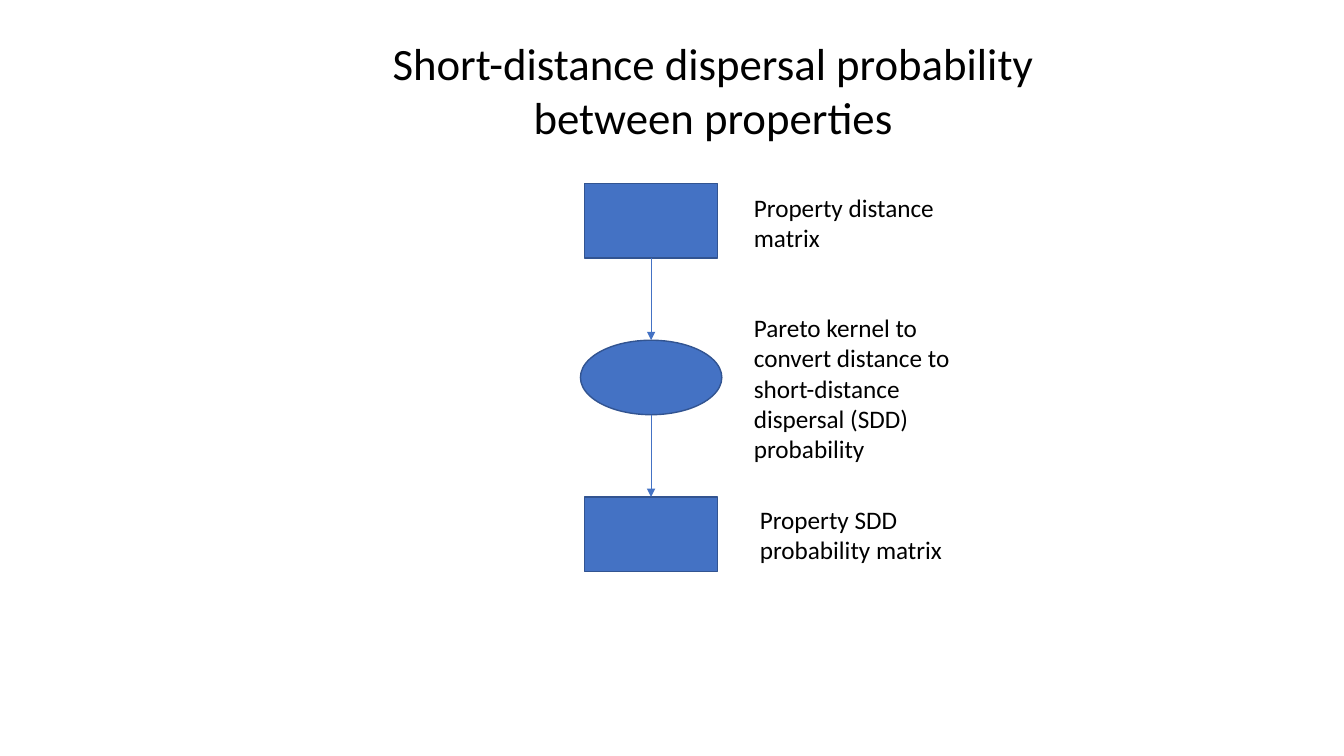
from lxml.etree import SubElement
from pptx import Presentation
from pptx.dml.color import RGBColor
from pptx.enum.shapes import MSO_CONNECTOR, MSO_SHAPE
from pptx.enum.text import PP_ALIGN
from pptx.oxml.ns import qn
from pptx.util import Pt

BLUE, OUTLINE, BLACK = "4472C4", "325491", "000000"
CENTER_X = 465.1
FIRST_TOP = 131
STEP = 112
NODE_HEIGHT = 53.2

STAGES = [
    (MSO_SHAPE.RECTANGLE, 95.2, "Property distance matrix", (531.4, 133.9, 185.8, 51.1)),
    (MSO_SHAPE.OVAL, 101,
     "Pareto kernel to convert distance to short-distance dispersal (SDD) probability",
     (531.4, 219.6, 185.8, 116.6)),
    (MSO_SHAPE.RECTANGLE, 95.2, "Property SDD probability matrix", (535.7, 356.4, 182.2, 51.1)),
]


def color(value):
    return RGBColor.from_string(value)


def apply_format(target, values):
    for name, value in values.items():
        setattr(target, name, value)


def add_text(slide, box, text, size, alignment=PP_ALIGN.LEFT):
    shape = slide.shapes.add_textbox(*map(Pt, box))
    shape.text_frame.word_wrap = True
    paragraph = shape.text_frame.paragraphs[0]
    paragraph.alignment = alignment
    run = paragraph.add_run()
    run.text = text
    apply_format(run.font, {"name": "Calibri", "size": Pt(size)})
    run.font.color.rgb = color(BLACK)


def add_node(slide, kind, width, top):
    box = (CENTER_X - width / 2, top, width, NODE_HEIGHT)
    shape = slide.shapes.add_shape(kind, *map(Pt, box))
    shape.shadow.inherit = False
    shape.fill.solid()
    shape.fill.fore_color.rgb = color(BLUE)
    shape.line.color.rgb = color(OUTLINE)
    shape.line.width = Pt(1)


def add_arrow(slide, start_y, end_y):
    points = (CENTER_X, start_y, CENTER_X, end_y)
    arrow = slide.shapes.add_connector(MSO_CONNECTOR.STRAIGHT, *map(Pt, points))
    arrow.line.color.rgb = color(BLUE)
    arrow.line.width = Pt(0.5)
    properties = arrow.element.spPr
    SubElement(properties.find(qn("a:ln")), qn("a:tailEnd"), type="triangle")
    SubElement(properties, qn("a:effectLst"))


def main():
    presentation = Presentation()
    apply_format(presentation, {"slide_width": Pt(960), "slide_height": Pt(540)})
    slide = presentation.slides.add_slide(presentation.slide_layouts[6])
    add_text(slide, (266.4, 22.3, 486, 85),
             "Short-distance dispersal probability between properties", 32, PP_ALIGN.CENTER)
    for index, (kind, width, label, label_box) in enumerate(STAGES):
        top = FIRST_TOP + index * STEP
        add_node(slide, kind, width, top)
        add_text(slide, label_box, label, 18)
        if index:
            add_arrow(slide, top - STEP + NODE_HEIGHT, top)
    presentation.save("out.pptx")


if __name__ == "__main__":
    main()
